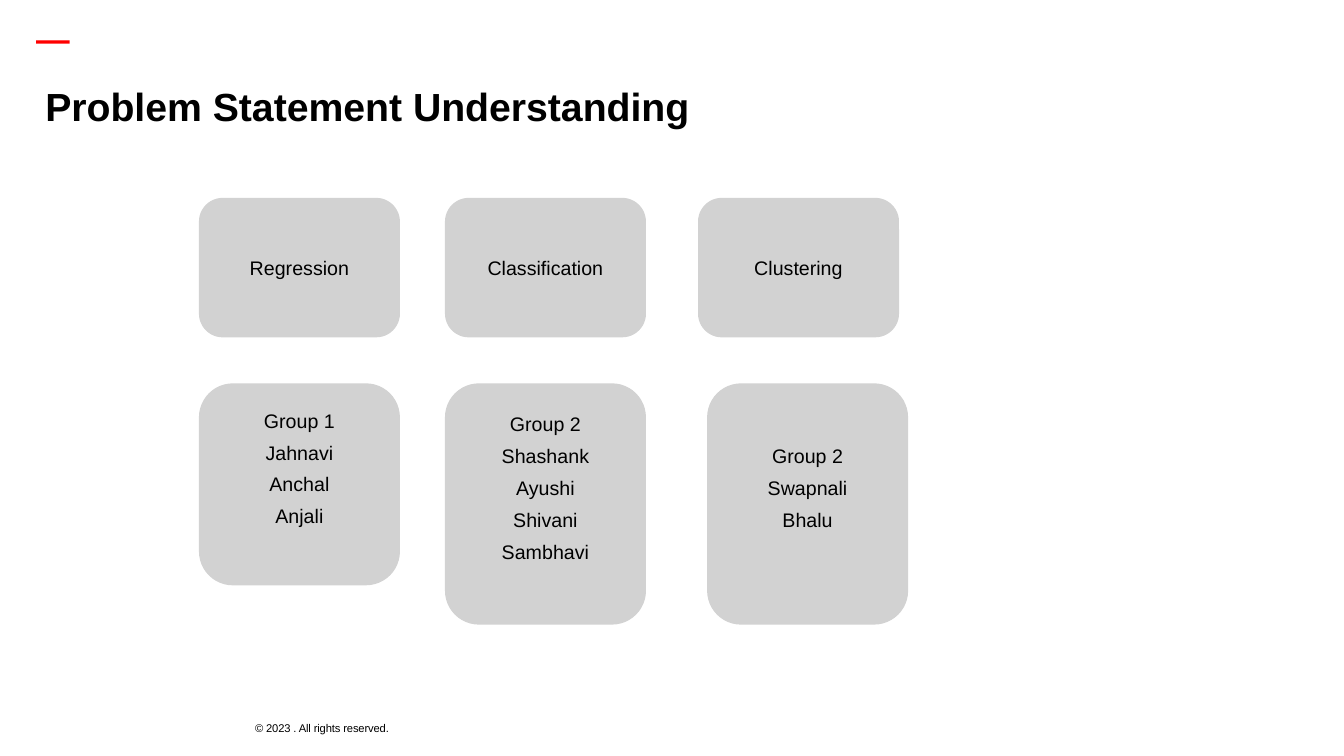
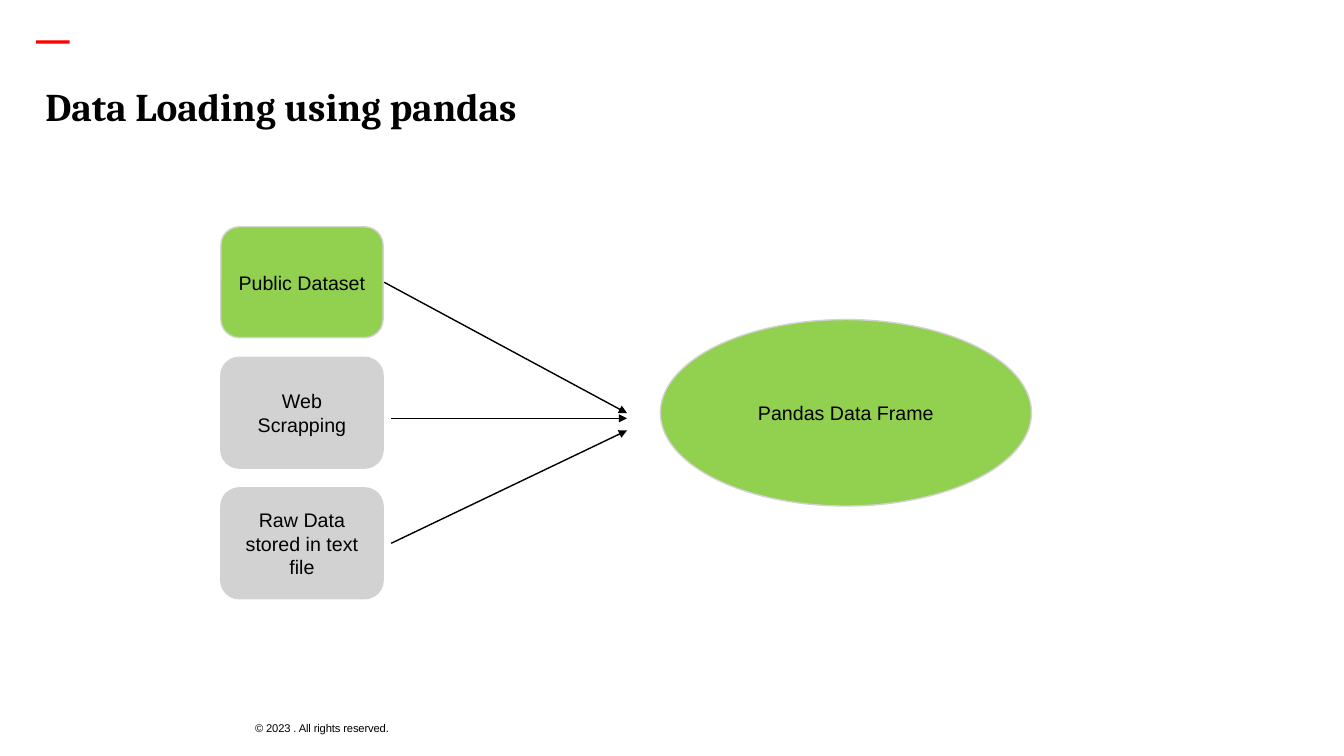
from pptx import Presentation
from pptx.dml.color import RGBColor
from pptx.enum.shapes import MSO_CONNECTOR as Link, MSO_SHAPE as Kind
from pptx.enum.text import MSO_ANCHOR as Anchor, PP_ALIGN as Align
from pptx.oxml.ns import qn
from pptx.util import Inches, Pt
from lxml.etree import SubElement as Sub

BLACK = RGBColor(0x00, 0x00, 0x00)
RED = RGBColor(0xFF, 0x00, 0x00)
GREY = RGBColor(0xD2, 0xD2, 0xD2)
GREEN = RGBColor(0x92, 0xD0, 0x50)


class Deck:
    """Shared style plus the slide being built."""

    def __init__(self):
        self.prs = Presentation()
        self.prs.slide_width = Inches(13.33)
        self.prs.slide_height = Inches(7.5)
        self.page = None

    def add_run(self, para, text, size, font="Arial", color=BLACK, bold=False):
        run = para.add_run()
        run.text = text
        run.font.size = Pt(size)
        run.font.name = font
        run.font.color.rgb = color
        run.font.bold = bold
        return run

    def label(self, box, text, size, pads=(0, 0), gap=0, anchor=Anchor.TOP, **style):
        """Text box with one run; pads are the left and bottom insets."""
        frame = self.page.shapes.add_textbox(*map(Inches, box)).text_frame
        frame.word_wrap = True
        frame.vertical_anchor = anchor
        frame.margin_top = frame.margin_right = 0
        frame.margin_left, frame.margin_bottom = map(Inches, pads)
        para = frame.paragraphs[0]
        para.space_before = Pt(gap)
        return self.add_run(para, text, size, **style)

    def start(self, title, font="Arial"):
        """New slide with red dash, footer and title."""
        self.page = self.prs.slides.add_slide(self.prs.slide_layouts[6])
        self.label((0.36, 0.56, 0.34, 0.04), "—", 24, pads=(0, 0.44), gap=6,
                   color=RED, bold=True)
        foot = self.label((2.53, 7.13, 2.44, 0.19), "© 2023 . All rights reserved.",
                          8, gap=6, anchor=Anchor.MIDDLE)
        foot.font._element.set("spc", "-10")
        self.label((0.36, 0.82, 12.6, 0.69), title, 28, pads=(0.09, 0),
                   font=font, bold=True)

    def node(self, box, lines, fill=GREY, kind=Kind.ROUNDED_RECTANGLE, foot=0.05):
        """Filled shape with centred lines; foot is the bottom inset."""
        shape = self.page.shapes.add_shape(kind, *map(Inches, box))
        shape.shadow.inherit = False
        shape.fill.solid()
        shape.fill.fore_color.rgb = fill
        shape.line.color.rgb = GREY
        shape.line.width = Pt(1)
        frame = shape.text_frame
        frame.word_wrap = True
        frame.vertical_anchor = Anchor.MIDDLE
        frame.margin_bottom = Inches(foot)
        for i, line in enumerate(lines):
            para = frame.add_paragraph() if i else frame.paragraphs[0]
            para.alignment = Align.CENTER
            para.space_before = Pt(6)
            self.add_run(para, line, 14)

    def arrow(self, start, end):
        link = self.page.shapes.add_connector(
            Link.STRAIGHT, *map(Inches, start + end))
        link.line.color.rgb = BLACK
        link.line.width = Pt(1)
        Sub(link.line._get_or_add_ln(), qn("a:tailEnd"), type="triangle")
        Sub(link._element.spPr, qn("a:effectLst"))


def problem(deck):
    deck.start("Problem Statement Understanding")
    # Tasks
    tasks = ((1.98, "Regression"), (4.42, "Classification"), (6.93, "Clustering"))
    for left, task in tasks:
        deck.node((left, 1.97, 1.98, 1.37), [task])
    # Teams
    teams = (
        (1.98, 1.99, ["Group 1", "Jahnavi", "Anchal", "Anjali"]),
        (4.42, 2.38, ["Group 2", "Shashank", "Ayushi", "Shivani", "Sambhavi"]),
        (7.02, 2.38, ["Group 2", "Swapnali", "Bhalu"]),
    )
    for left, high, names in teams:
        deck.node((left, 3.81, 1.98, high), names, foot=0.37)


def loading(deck):
    deck.start("Data Loading using pandas", font="Cambria")
    # Sources
    feeds = (("Public Dataset", GREEN), ("Web Scrapping", GREY),
             ("Raw Data stored in text file", GREY))
    for i, (feed, fill) in enumerate(feeds):
        deck.node((2.19, 2.25 + 1.295 * i, 1.61, 1.1), [feed], fill)
    # Target
    deck.node((6.55, 3.17, 3.68, 1.85), ["Pandas Data Frame"], GREEN, Kind.OVAL)
    # Flow
    for left, top, end in ((3.81, 2.8, 4.1), (3.88, 4.15, 4.15), (3.88, 5.39, 4.27)):
        deck.arrow((left, top), (6.22, end))


def main():
    deck = Deck()
    problem(deck)
    loading(deck)
    deck.prs.save("out.pptx")


if __name__ == "__main__":
    main()
